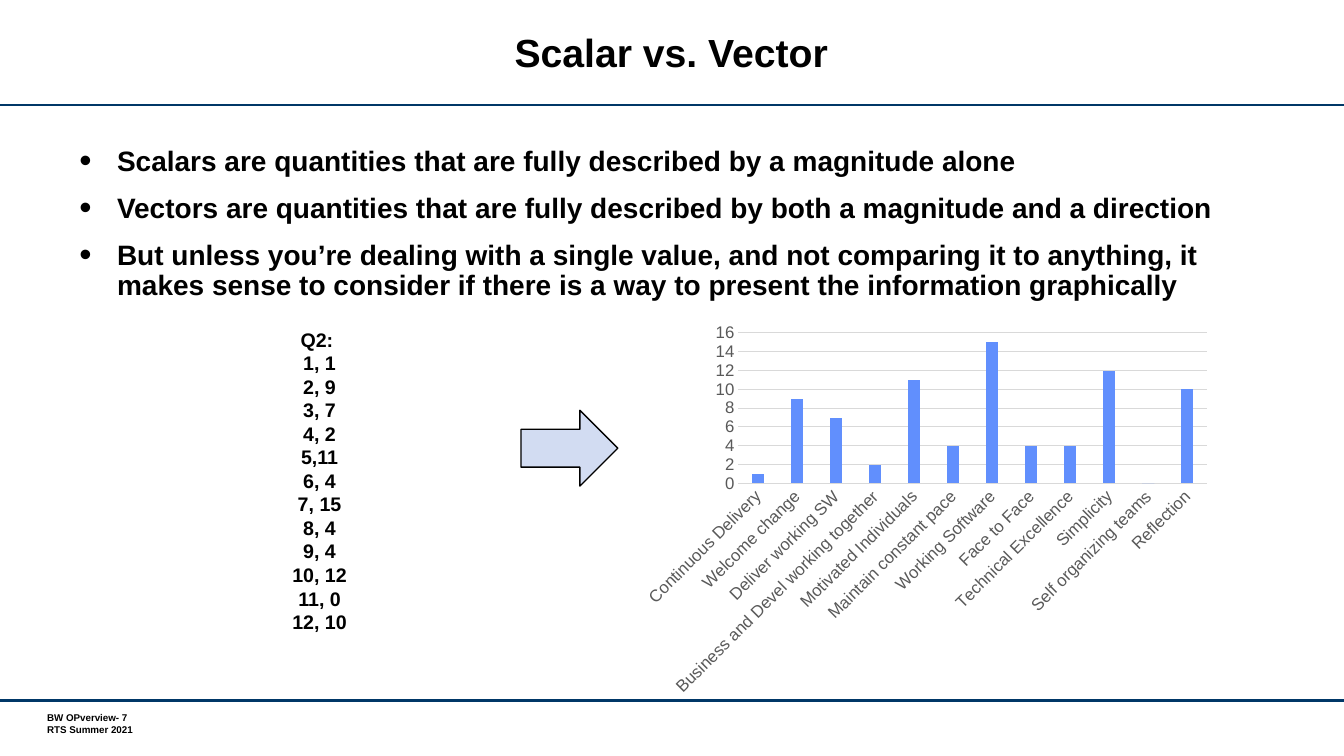
from lxml.etree import SubElement
from pptx import Presentation
from pptx.chart.data import CategoryChartData
from pptx.dml.color import RGBColor
from pptx.enum.chart import XL_CHART_TYPE, XL_TICK_MARK
from pptx.enum.shapes import MSO_CONNECTOR, MSO_SHAPE
from pptx.enum.text import MSO_ANCHOR, PP_ALIGN
from pptx.oxml import parse_xml
from pptx.oxml.ns import nsdecls, qn
from pptx.util import Cm, Pt

BLACK = RGBColor(0x00, 0x00, 0x00)
NAVY = RGBColor(0x00, 0x37, 0x67)
PALE = RGBColor(0xD2, 0xDC, 0xF2)
BLUE = RGBColor(0x61, 0x8F, 0xFD)
GRAY = RGBColor(0x59, 0x59, 0x59)
GRID = RGBColor(0xD9, 0xD9, 0xD9)
FONT = "Arial"

deck = Presentation()
deck.slide_width, deck.slide_height = Cm(33.87), Cm(19.05)
slide = deck.slides.add_slide(deck.slide_layouts[6])
shapes = slide.shapes


def add_text(lines, left, top, width, height, size, align=PP_ALIGN.LEFT,
             anchor=MSO_ANCHOR.TOP, inset=True, bullet=False, space=None, gap=0):
    box = shapes.add_textbox(Cm(left), Cm(top), Cm(width), Cm(height))
    frame = box.text_frame
    frame.word_wrap = True
    frame.vertical_anchor = anchor
    if not inset:
        frame.margin_left = frame.margin_right = 0
        frame.margin_top = frame.margin_bottom = 0
    for i, line in enumerate(lines):
        para = frame.paragraphs[0] if i == 0 else frame.add_paragraph()
        para.alignment = align
        para.space_before = Pt(gap if i else 0)
        if space:
            para.line_spacing = space
        if bullet:
            props = para._p.get_or_add_pPr()
            props.set("marL", str(Cm(0.95)))
            props.set("indent", str(-Cm(0.95)))
            SubElement(props, qn("a:buSzPct"), val="125000")
            SubElement(props, qn("a:buFont"), typeface=FONT)
            SubElement(props, qn("a:buChar"), char="•")
        run = para.add_run()
        run.text = line
        run.font.name, run.font.size = FONT, Pt(size)
        run.font.bold = True
        run.font.color.rgb = BLACK


# Rules above and below the content
for y in (2.64, 17.65):
    rule = shapes.add_connector(MSO_CONNECTOR.STRAIGHT, 0, Cm(y), deck.slide_width, Cm(y))
    rule.line.color.rgb = NAVY
    rule.line.width = Pt(1.75)
    SubElement(rule._element.spPr, qn("a:effectLst"))

# Title, footer and bullets
add_text(["Scalar vs. Vector"], 3.48, 0.28, 26.87, 2.26, 28,
         align=PP_ALIGN.CENTER, anchor=MSO_ANCHOR.MIDDLE, space=Pt(28))
add_text(["BW OPverview- 7", "RTS Summer 2021"], 1.19, 17.93, 4.04, 0.61, 7, inset=False)
add_text(["Scalars are quantities that are fully described by a magnitude alone",
          "Vectors are quantities that are fully described by both a magnitude and a direction",
          "But unless you’re dealing with a single value, and not comparing it to anything, it "
          "makes sense to consider if there is a way to present the information graphically"],
         1.75, 3.58, 30.33, 4.52, 20, bullet=True, space=0.9, gap=12)

# Chart of the scores
scores = {
    "Continuous Delivery": 1, "Welcome change": 9, "Deliver working SW": 7,
    "Business and Devel working together": 2, "Motivated Individuals": 11,
    "Maintain constant pace": 4, "Working Software": 15, "Face to Face": 4,
    "Technical Excellence": 4, "Simplicity": 12, "Self organizing teams": 0,
    "Reflection": 10,
}
data = CategoryChartData()
data.categories = list(scores)
data.add_series("Series 1", list(scores.values()))
chart = shapes.add_chart(XL_CHART_TYPE.COLUMN_CLUSTERED, Cm(15.95), Cm(8),
                         Cm(14.76), Cm(9.73), data).chart
chart.has_legend = chart.has_title = False
chart.font.name, chart.font.size = FONT, Pt(10)
chart.font.color.rgb = BLACK

plot = chart.plots[0]
plot.gap_width, plot.overlap = 219, -27
plot.vary_by_categories = False
bars = plot.series[0].format.fill
bars.solid()
bars.fore_color.rgb = BLUE

names, scale = chart.category_axis, chart.value_axis
for axis in (names, scale):
    axis.major_tick_mark = axis.minor_tick_mark = XL_TICK_MARK.NONE
    font = axis.tick_labels.font
    font.name, font.size = FONT, Pt(12)
    font.color.rgb = GRAY
names.tick_labels.font.bold = False
names._element.find(qn("c:txPr")).find(qn("a:bodyPr")).set("rot", "-2700000")
scale.minimum_scale, scale.maximum_scale, scale.major_unit = 0, 16, 2
scale.format.line.fill.background()
for line in (names.format.line, scale.major_gridlines.format.line):
    line.color.rgb = GRID
    line.width = Pt(0.75)

# Fixed place of the bars inside the chart
area = chart._chartSpace.chart.plotArea
for old in area.findall(qn("c:layout")):
    area.remove(old)
area.insert(0, parse_xml(
    f'<c:layout {nsdecls("c")}><c:manualLayout><c:layoutTarget val="inner"/>'
    '<c:xMode val="edge"/><c:yMode val="edge"/><c:x val="0.18"/><c:y val="0.04"/>'
    '<c:w val="0.8"/><c:h val="0.39"/></c:manualLayout></c:layout>'))

# The same scores as plain text
add_text(["Q2: ", "1, 1", "2, 9", "3, 7", "4, 2", "5,11", "6, 4", "7, 15",
          "8, 4", "9, 4", "10, 12", "11, 0", "12, 10"],
         2.67, 8.13, 10.77, 8.03, 14, align=PP_ALIGN.CENTER)

# Arrow from text to chart
arrow = shapes.add_shape(MSO_SHAPE.RIGHT_ARROW, Cm(13.13), Cm(10.34), Cm(2.44), Cm(1.91))
arrow.shadow.inherit = False
arrow.fill.solid()
arrow.fill.fore_color.rgb = PALE
arrow.line.color.rgb = BLACK
arrow.line.width = Pt(1)

deck.save("out.pptx")
